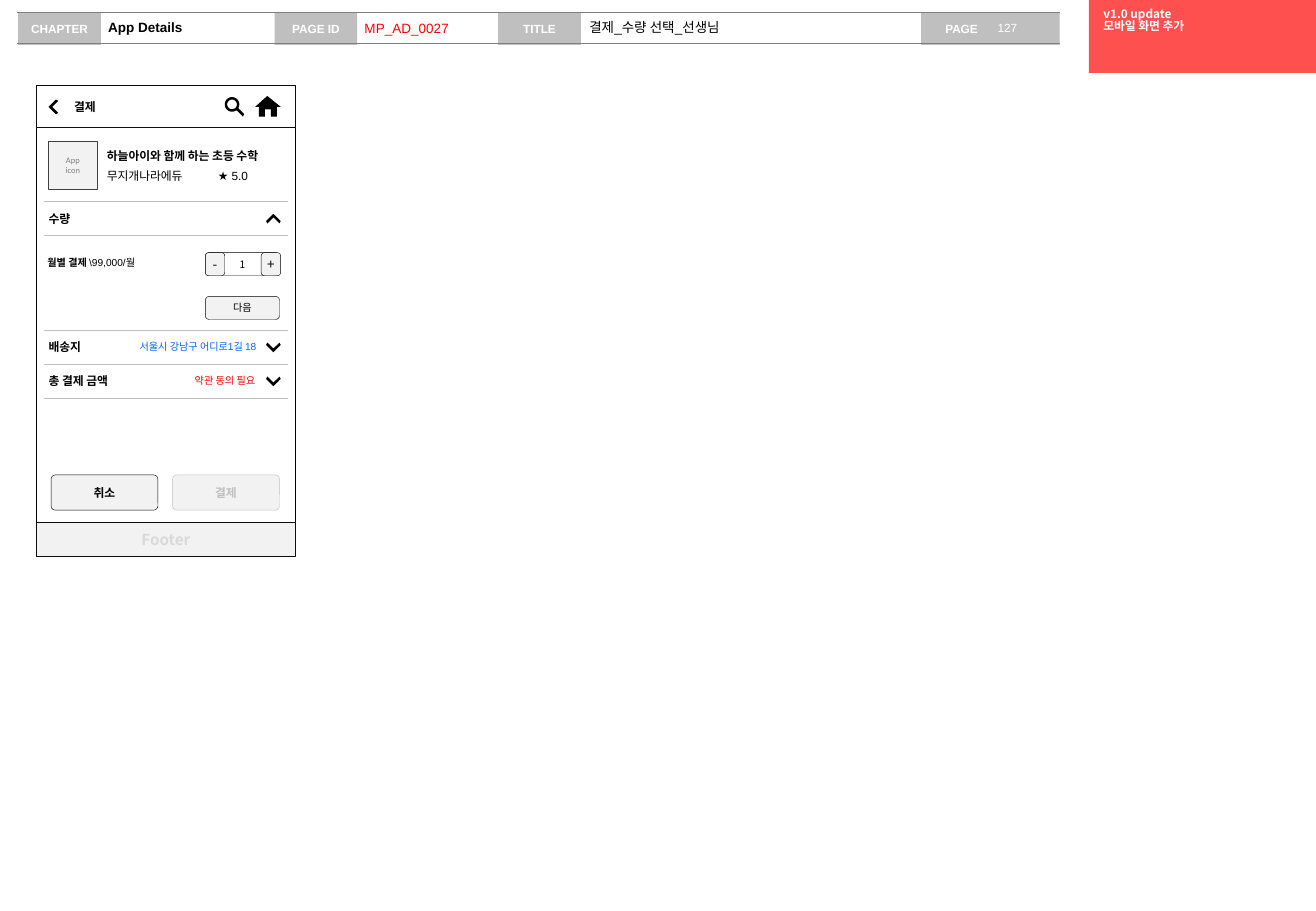
"""Builds the mobile payment wireframe slide with its page header."""
import math

from lxml import etree
from pptx import Presentation
from pptx import util as u
from pptx.dml import color
from pptx.enum import shapes, text
from pptx.oxml import ns

NOTO = "Noto Sans CJK KR"
RECT = shapes.MSO_SHAPE.RECTANGLE
ROUND = shapes.MSO_SHAPE.ROUNDED_RECTANGLE
LEFT, CENTER, RIGHT = text.PP_ALIGN.LEFT, text.PP_ALIGN.CENTER, text.PP_ALIGN.RIGHT
MIDDLE, TOP = text.MSO_ANCHOR.MIDDLE, text.MSO_ANCHOR.TOP

presentation = Presentation()
presentation.slide_width, presentation.slide_height = u.Inches(10.83), u.Inches(7.5)
slide = presentation.slides.add_slide(presentation.slide_layouts[6])


def paint(shape, fill=None, line=None):
    shape.shadow.inherit = False
    if fill:
        shape.fill.solid()
        shape.fill.fore_color.rgb = color.RGBColor.from_string(fill)
    else:
        shape.fill.background()
    if line:
        shape.line.color.rgb = color.RGBColor.from_string(line)
        shape.line.width = u.Pt(0.25)
    else:
        shape.line.fill.background()


def add_text(box, content, kind=None, fill=None, line=None, size=7, font="Arial", ink="000000",
             bold=False, align=LEFT, anchor=TOP, insets=(0, 0, 0, 0), wrap=True,
             radius=None, spacing=None, tail=None):
    area = [u.Inches(value) for value in box]
    if kind is None:
        shape = slide.shapes.add_textbox(*area)
    else:
        shape = slide.shapes.add_shape(kind, *area)
        paint(shape, fill, line)
    if radius:
        shape.adjustments[0] = radius
    frame = shape.text_frame
    frame.word_wrap, frame.vertical_anchor = wrap, anchor
    (frame.margin_left, frame.margin_top,
     frame.margin_right, frame.margin_bottom) = [u.Inches(value) for value in insets]
    frame.text = content
    for paragraph in frame.paragraphs:
        paragraph.alignment = align
        paragraph.line_spacing = spacing
        if tail:
            paragraph.add_run().text = tail
        for index, run in enumerate(paragraph.runs):
            run.font.name, run.font.size = font, u.Pt(size)
            run.font.bold = bold and index == 0
            run.font.color.rgb = color.RGBColor.from_string(ink)


header = dict(kind=RECT, fill="BFBFBF", ink="FFFFFF", bold=True, anchor=MIDDLE, wrap=False)
add_text((7.58, 0.1, 1.14, 0.27), "PAGE", insets=(0.2, 0.05, 0.1, 0.05), **header)
add_text((8.17, 0.12, 0.55, 0.22), "127", ink="FFFFFF", insets=(0.04, 0.05, 0, 0.05))
for left, label in [(0.15, "CHAPTER"), (2.26, "PAGE ID"), (4.1, "TITLE")]:
    add_text((left, 0.1, 0.68, 0.27), label, align=CENTER,
             insets=(0.1, 0.05, 0.1, 0.05), **header)
for left, width, value, ink, bold, anchor in [
    (0.83, 1.43, "App Details", "000000", True, TOP),
    (4.79, 2.8, "결제_수량 선택_선생님", "000000", False, TOP),
    (2.94, 1.16, "MP_AD_0027", "FF0000", False, MIDDLE),
]:
    add_text((left, 0.11, width, 0.24), value, size=8, ink=ink, bold=bold,
             anchor=anchor, insets=(0.06, 0.05, 0, 0.05))

phone = slide.shapes.add_shape(RECT, u.Inches(0.3), u.Inches(0.7), u.Inches(2.13), u.Inches(3.87))
paint(phone, line="000000")
add_text((0.3, 0.7, 2.13, 0.35), "결제", kind=RECT, fill="FFFFFF", line="0D0D0D", font=NOTO,
         bold=True, anchor=MIDDLE, insets=(0.31, 0.05, 0.1, 0.05))

header_lines = [(0.14, 8.72, y, "7F7F7F", 0.75) for y in (0.1, 0.36)]
dividers = [(0.36, 2.37, y, "BFBFBF", 0.25) for y in (1.66, 1.94, 2.72, 3, 3.28)]
for start, end, y, ink, weight in header_lines + dividers:
    connector = slide.shapes.add_connector(
        shapes.MSO_CONNECTOR.STRAIGHT, u.Inches(start), u.Inches(y), u.Inches(end), u.Inches(y))
    connector.line.color.rgb = color.RGBColor.from_string(ink)
    connector.line.width = u.Pt(weight)
    etree.SubElement(connector.element.spPr, ns.qn("a:effectLst"))

chevron = [(0.04, -0.05), (0.02, -0.06), (-0.04, 0), (0.02, 0.06), (0.04, 0.05), (-0.01, 0)]
icons = [[[(0.44 + x, 0.88 + y) for x, y in chevron]],
         [[(2.25 - y, 1.8 + x) for x, y in chevron]]]
icons += [[[(2.25 + y, middle - x) for x, y in chevron]] for middle in (2.86, 3.14)]
icons.append([[(2.18, 0.96), (2.18, 0.9), (2.23, 0.9), (2.23, 0.96), (2.28, 0.96), (2.28, 0.88),
               (2.31, 0.88), (2.2, 0.79), (2.1, 0.88), (2.13, 0.88), (2.13, 0.96)]])
rim, hole = [
    [(1.91 + radius * math.cos(math.radians(angle)), 0.86 + radius * math.sin(math.radians(angle)))
     for angle in range(start, end, 10)]
    for radius, start, end in [(0.06, 60, 391), (0.04, 0, 360)]
]
icons.append([rim + [(1.97, 0.9), (2.01, 0.94), (2, 0.96), (1.95, 0.91)], hole])
for contours in icons:
    builder = None
    for contour in contours:
        points = [(u.Inches(x), u.Inches(y)) for x, y in contour]
        if builder is None:
            builder = slide.shapes.build_freeform(*points[0])
        else:
            builder.move_to(*points[0])
        builder.add_line_segments(points[1:], close=True)
    paint(builder.convert_to_shape(), fill="000000")

add_text((0.4, 1.16, 0.4, 0.4), "App\nicon", kind=RECT, fill="F2F2F2", line="404040", size=5,
         font="Calibri", ink="808080", align=CENTER, anchor=MIDDLE, wrap=False)
add_text((0.88, 1.22, 1.42, 0.12), "하늘아이와 함께 하는 초등 수학", bold=True)
add_text((0.88, 1.39, 0.73, 0.12), "무지개나라에듀")
add_text((1.72, 1.39, 0.32, 0.12), "★ 5.0", align=RIGHT, wrap=False)

for top, width, label in [(1.74, 0.2, "수량"), (2.8, 0.29, "배송지"), (3.08, 0.56, "총 결제 금액")]:
    add_text((0.4, top, width, 0.12), label, bold=True, wrap=False)
for left, top, width, note, ink in [(1.04, 2.8, 1.07, "서울시 강남구 어디로1길 18", "0066FF"),
                                    (1.54, 3.08, 0.56, "약관 동의 필요", "FF0000")]:
    add_text((left, top, width, 0.1), note, size=6, ink=ink, align=RIGHT, wrap=False)
add_text((0.39, 2.11, 0.83, 0.1), "월별 결제", tail=" \\99,000/월", size=6, bold=True, wrap=False)

button = dict(kind=ROUND, font=NOTO, align=CENTER, anchor=MIDDLE)
for left, label, line in [(1.42, "결제", "BFBFBF"), (0.42, "취소", "000000")]:
    add_text((left, 3.91, 0.88, 0.29), label, fill="F2F2F2", line=line, ink=line,
             bold=True, radius=0.12, **button)
for left, top, width, label, size, fill in [
    (1.69, 2.44, 0.61, "다음", 6, "F2F2F2"),
    (1.69, 2.08, 0.61, "1", 6, "FFFFFF"),
    (1.69, 2.08, 0.16, "-", 8, "F2F2F2"),
    (2.15, 2.08, 0.16, "+", 8, "F2F2F2"),
]:
    add_text((left, top, width, 0.19), label, size=size, fill=fill, line="000000", **button)

add_text((0.3, 4.3, 2.13, 0.28), "Footer", kind=RECT, fill="F2F2F2", line="0D0D0D", size=9,
         font=NOTO, ink="D9D9D9", bold=True, align=CENTER, anchor=MIDDLE)
add_text((8.96, 0, 1.88, 0.6), "v1.0 update\n모바일 화면 추가", kind=RECT, fill="FF5050", font=NOTO,
         ink="FFFFFF", bold=True, insets=(0.12, 0.08, 0.1, 0.05), spacing=0.8)

presentation.save("out.pptx")
